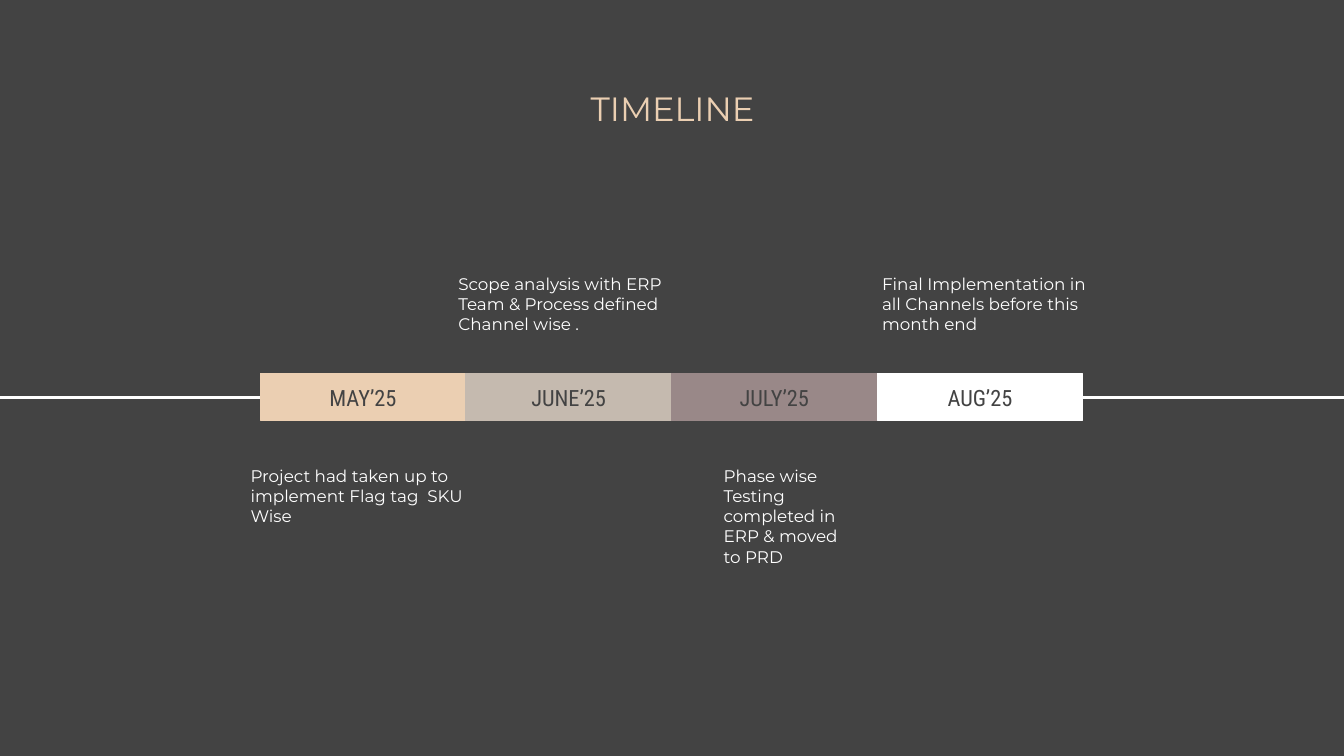
import pptx
import pptx.dml.color
import pptx.enum.shapes
import pptx.enum.text
import pptx.oxml.ns
import pptx.util
from lxml import etree

WIDE, HIGH = 13.33, 7.5
DARK, SAND, WHITE = "434343", "EBCFB2", "FFFFFF"
ALIGN = pptx.enum.text.PP_ALIGN


def tint(code):
    return pptx.dml.color.RGBColor.from_string(code)


class Board:
    """Style and slide; the grid starts at the first month's top left corner."""
    left, top = 2.58, 3.71
    col, row = 2.04, 0.46
    body, head = "Montserrat", "Roboto Condensed"

    def __init__(self, slide):
        self.slide = slide
        slide.background.fill.solid()
        slide.background.fill.fore_color.rgb = tint(DARK)

    def area(self, col, row, wide, high):
        """Turn grid units into left, top, width and height."""
        sizes = (self.left + col * self.col, self.top + row * self.row,
                 wide * self.col, high * self.row)
        return [pptx.util.Inches(size) for size in sizes]

    def label(self, shape, text, size, font, color, align, pitch=None):
        frame = shape.text_frame
        frame.word_wrap = True
        frame.vertical_anchor = pptx.enum.text.MSO_ANCHOR.MIDDLE
        inset = pptx.util.Inches(0.13)
        frame.margin_left = frame.margin_right = inset
        frame.margin_top = frame.margin_bottom = inset
        para = frame.paragraphs[0]
        para.alignment = align
        if pitch:
            para.line_spacing = pitch
        run = para.add_run()
        run.text = text
        run.font.size = pptx.util.Pt(size)
        run.font.name = font
        run.font.color.rgb = tint(color)

    def title(self, text, *cells):
        box = self.slide.shapes.add_textbox(*self.area(*cells))
        self.label(box, text, 24, self.body, SAND, ALIGN.CENTER, 0.9)

    def note(self, text, *cells):
        box = self.slide.shapes.add_textbox(*self.area(*cells))
        self.label(box, text, 12, self.body, WHITE, ALIGN.LEFT)

    def month(self, text, col, color):
        kind = pptx.enum.shapes.MSO_SHAPE.RECTANGLE
        block = self.slide.shapes.add_shape(kind, *self.area(col, 0, 1, 1))
        block.shadow.inherit = False
        block.fill.solid()
        block.fill.fore_color.rgb = tint(color)
        block.line.color.rgb = tint(color)
        block.line.width = pptx.util.Pt(0.75)
        self.label(block, text, 16, self.head, DARK, ALIGN.CENTER)

    def axis(self):
        """Draw the line across the slide, through the middle of the months."""
        mid = pptx.util.Inches(self.top + self.row / 2)
        kind = pptx.enum.shapes.MSO_CONNECTOR.STRAIGHT
        line = self.slide.shapes.add_connector(
            kind, 0, mid, pptx.util.Inches(WIDE), mid)
        line.line.color.rgb = tint(WHITE)
        line.line.width = pptx.util.Pt(2.25)
        etree.SubElement(line._element.spPr, pptx.oxml.ns.qn("a:effectLst"))


def main():
    deck = pptx.Presentation()
    deck.slide_width = pptx.util.Inches(WIDE)
    deck.slide_height = pptx.util.Inches(HIGH)
    board = Board(deck.slides.add_slide(deck.slide_layouts[6]))

    board.axis()
    months = [("MAY’25", SAND), ("JUNE’25", "C5BAAF"),
              ("JULY’25", "998888"), ("AUG’25", WHITE)]
    for col, (name, color) in enumerate(months):
        board.month(name, col, color)

    board.title("TIMELINE", 0.14, -7.17, 3.73, 3)
    above, below = -2.13, 2.02
    board.note("Project had taken up to implement Flag tag  SKU Wise",
               -0.11, below, 1.22, 1.22)
    board.note("Scope analysis with ERP Team & Process defined Channel wise .",
               0.9, above, 1.22, 1.22)
    board.note("Phase wise Testing completed in ERP & moved to PRD",
               2.19, below, 0.77, 2.09)
    board.note("Final Implementation in all Channels before this month end",
               2.96, above, 1.22, 1.22)
    deck.save("out.pptx")


if __name__ == "__main__":
    main()
